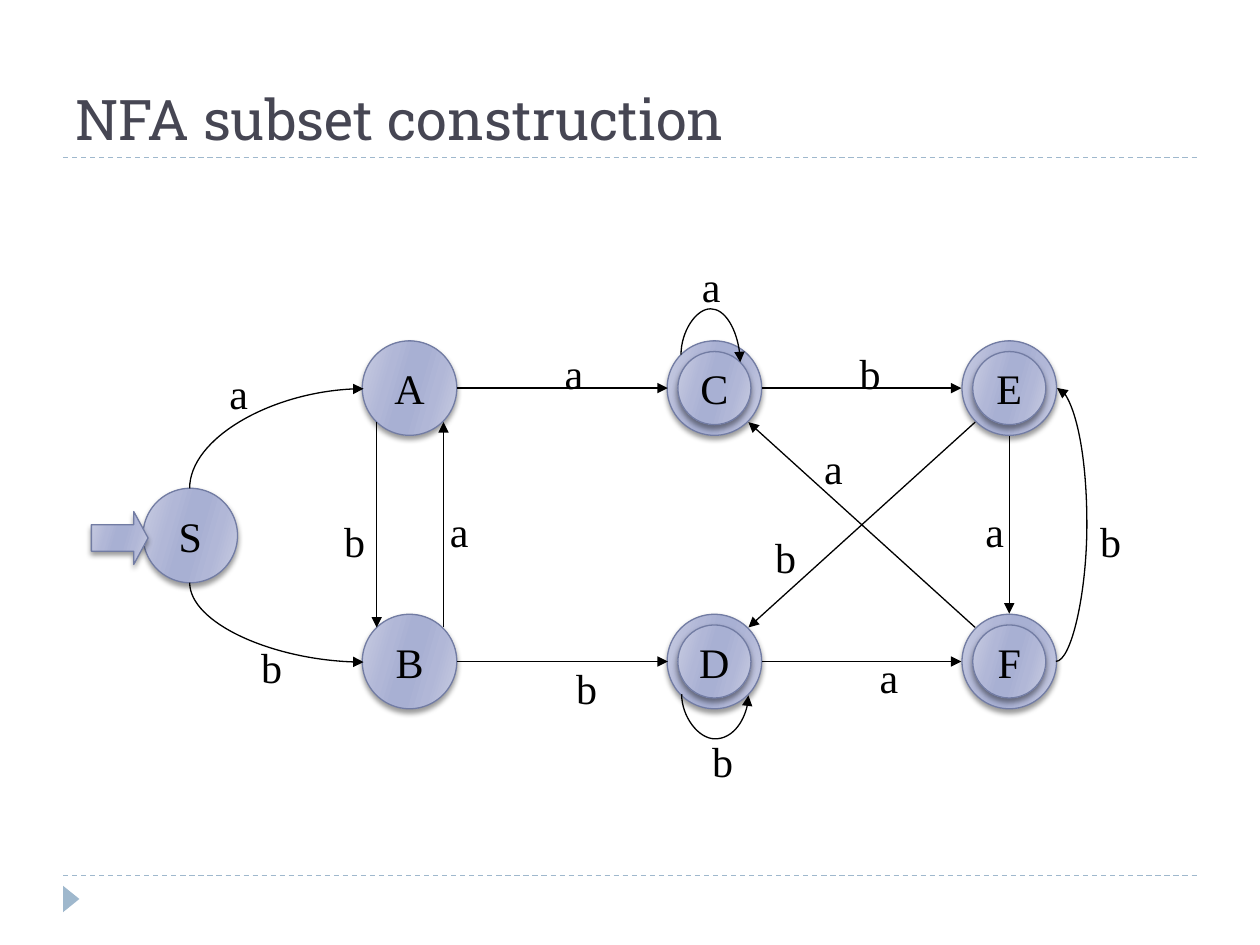
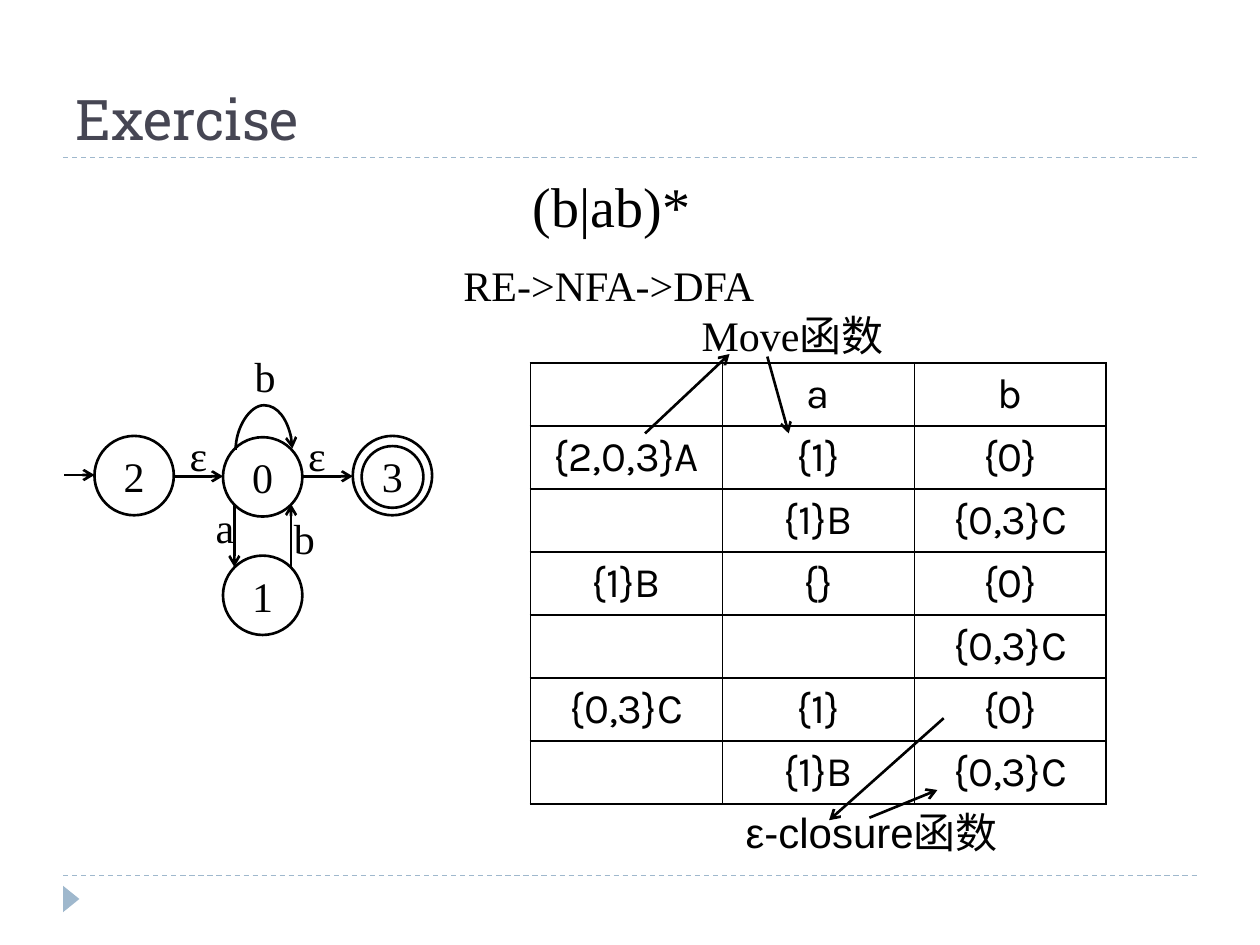
from lxml.etree import SubElement
from pptx import Presentation
from pptx.dml.color import RGBColor
from pptx.enum.dml import MSO_LINE
from pptx.enum.shapes import MSO_CONNECTOR, MSO_SHAPE
from pptx.enum.text import MSO_ANCHOR, PP_ALIGN
from pptx.oxml.ns import qn
from pptx.util import Inches, Pt

BLACK = RGBColor(0, 0, 0)
TITLE = RGBColor(0x46, 0x46, 0x53)
ACCENT = RGBColor(0x9F, 0xB8, 0xCD)
NODE_EDGE = RGBColor(0x72, 0x7C, 0xA3)
NODE_STOPS = [
    (0, RGBColor(0xC9, 0xCD, 0xE2)), (30, RGBColor(0xB1, 0xB7, 0xD7)),
    (45, RGBColor(0xA8, 0xB0, 0xD3)), (55, RGBColor(0xA8, 0xB0, 0xD3)),
    (73, RGBColor(0xB1, 0xB7, 0xD7)), (100, RGBColor(0xC9, 0xCD, 0xE2)),
]
SERIF = "Times New Roman"


def write(frame, text, size=24, font=SERIF, color=BLACK, align=PP_ALIGN.CENTER,
          anchor=MSO_ANCHOR.MIDDLE, wrap=False):
    frame.word_wrap = wrap
    frame.vertical_anchor = anchor
    paragraph = frame.paragraphs[0]
    paragraph.alignment = align
    run = paragraph.add_run()
    run.text = text
    run.font.size = Pt(size)
    run.font.name = font
    run.font.color.rgb = color


def link(slide, x1, y1, x2, y2, width=0.75, head="triangle", color=BLACK,
         kind=MSO_CONNECTOR.STRAIGHT):
    line = slide.shapes.add_connector(kind, Inches(x1), Inches(y1), Inches(x2), Inches(y2))
    line.line.color.rgb = color
    line.line.width = Pt(width)
    if head:
        SubElement(line.line._get_or_add_ln(), qn("a:tailEnd"), type=head)
    SubElement(line._element.spPr, qn("a:effectLst"))
    return line


prs = Presentation()
prs.slide_width = Inches(10)
prs.slide_height = Inches(7.5)
slides = []
for heading in ["NFA subset construction", "Exercise"]:
    slide = prs.slides.add_slide(prs.slide_layouts[6])
    slides.append(slide)
    for y in (6.95, 1.25):
        rule = link(slide, 0.5, y, 9.5, y, head=None, color=ACCENT)
        rule.line.dash_style = MSO_LINE.DASH
    marker = slide.shapes.add_shape(MSO_SHAPE.ISOSCELES_TRIANGLE, Inches(0.46), Inches(7.07),
                                    Inches(0.21), Inches(0.13))
    marker.rotation = 90
    marker.shadow.inherit = False
    marker.fill.solid()
    marker.fill.fore_color.rgb = ACCENT
    marker.line.fill.background()
    title = slide.shapes.add_textbox(Inches(0.5), Inches(0.17), Inches(9), Inches(1.08))
    write(title.text_frame, heading, 32, "Roboto Slab", TITLE, PP_ALIGN.LEFT,
          MSO_ANCHOR.BOTTOM, True)
subset, exercise = slides

TOP, BOTTOM, NODE, INNER = 3.08, 5.25, 0.75, 0.58
states = [("S", 1.51, 4.25, False), ("A", 3.25, TOP, False), ("B", 3.25, BOTTOM, False),
          ("C", 5.67, TOP, True), ("D", 5.67, BOTTOM, True),
          ("E", 8.01, TOP, True), ("F", 8.01, BOTTOM, True)]
outlines = []
for name, x, y, accepting in states:
    outlines.append((MSO_SHAPE.OVAL, x, y, NODE, NODE, "" if accepting else name))
    if accepting:
        outlines.append((MSO_SHAPE.OVAL, x, y, INNER, INNER, name))
outlines.append((MSO_SHAPE.RIGHT_ARROW, 0.95, 4.27, 0.45, 0.42, ""))

for outline, x, y, width, height, name in outlines:
    state = subset.shapes.add_shape(outline, Inches(x - width / 2), Inches(y - height / 2),
                                    Inches(width), Inches(height))
    if outline == MSO_SHAPE.RIGHT_ARROW:
        state.adjustments[1] = 0.27
    state.fill.gradient()
    state.fill.gradient_angle = 344
    stops = state._element.spPr.find(qn("a:gradFill")).find(qn("a:gsLst"))
    for stop in list(stops):
        stops.remove(stop)
    for percent, color in NODE_STOPS:
        stop = SubElement(stops, qn("a:gs"), pos=str(percent * 1000))
        SubElement(stop, qn("a:srgbClr"), val=str(color))
    state.line.color.rgb = NODE_EDGE
    state.line.width = Pt(0.75)
    state.shadow.inherit = False
    effects = state._element.spPr.find(qn("a:effectLst"))
    shadow = SubElement(effects, qn("a:outerShdw"), blurRad=str(Pt(3)), dist=str(Pt(2)),
                        dir="5400000", rotWithShape="0")
    shade = SubElement(shadow, qn("a:srgbClr"), val=str(BLACK))
    SubElement(shade, qn("a:alpha"), val="40000")
    if name:
        write(state.text_frame, name)

for y in (TOP, BOTTOM):
    link(subset, 3.63, y, 5.3, y)
    link(subset, 6.05, y, 7.63, y)
for x1, y1, x2, y2 in [(3.52, 4.98, 3.52, 3.35), (2.99, 3.35, 2.99, 4.98),
                       (8.01, 3.46, 8.01, 4.87),
                       (7.74, 4.98, 5.94, 3.35), (7.74, 3.35, 5.94, 4.98)]:
    link(subset, x1, y1, x2, y2)

subset_labels = [
    ("a", 1.72, 2.87), ("a", 3.47, 3.96), ("a", 4.38, 2.71), ("a", 7.72, 3.96),
    ("a", 6.88, 5.12), ("a", 6.44, 3.46), ("a", 5.47, 2.02),
    ("b", 8.63, 4.04), ("b", 1.97, 5.04), ("b", 2.63, 4.04), ("b", 4.47, 5.21),
    ("b", 6.72, 2.71), ("b", 5.55, 5.79), ("b", 6.05, 4.17),
]
exercise_labels = [("b", 1.92, 2.73), ("a", 1.61, 3.93), ("b", 2.23, 4.02),
                   ("ε", 1.4, 3.36), ("ε", 2.34, 3.36)]
for slide, labels in [(subset, subset_labels), (exercise, exercise_labels)]:
    for symbol, x, y in labels:
        label = slide.shapes.add_textbox(Inches(x), Inches(y),
                                         Inches(0.37 if symbol == "b" else 0.35), Inches(0.5))
        write(label.text_frame, symbol)

for name, x, y, size in [("2", 0.75, 3.46, 0.63), ("0", 1.77, 3.47, 0.63),
                         ("1", 1.77, 4.41, 0.63), ("3", 2.8, 3.46, 0.63),
                         ("", 2.87, 3.54, 0.49)]:
    state = exercise.shapes.add_shape(MSO_SHAPE.OVAL, Inches(x), Inches(y),
                                      Inches(size), Inches(size))
    state.fill.background()
    state.line.color.rgb = BLACK
    state.line.width = Pt(1.5)
    state.shadow.inherit = False
    if name:
        write(state.text_frame, name, wrap=True)

curves = [
    (subset, 1.8, 2.79, 0.79, 1.38, 270, None, None),
    (subset, 1.88, 4.25, 0.63, 1.38, 270, "flipH", None),
    (subset, 8.38, 3.08, 0.01, 2.17, 0, "flipV", 25),
    (subset, 5.61, 2.61, 0.06, 0.47, 90, "flipV", -6.09),
    (subset, 5.67, 5.25, 0.01, 0.53, 270, "flipH", 36),
    (exercise, 2.09, 3.34, 0.01, 0.45, 270, None, 36),
]
for slide, x, y, width, height, angle, flip, bulge in curves:
    weight, head = (0.75, "triangle") if slide is subset else (1.5, "arrow")
    curve = link(slide, x, y, x + width, y + height, weight, head, kind=MSO_CONNECTOR.CURVE)
    frame = curve._element.spPr.find(qn("a:xfrm"))
    frame.set("rot", str(angle * 60000))
    if flip:
        frame.set(flip, "1")
    geometry = curve._element.spPr.find(qn("a:prstGeom"))
    if bulge is None:
        geometry.set("prst", "curvedConnector2")
    else:
        SubElement(geometry.find(qn("a:avLst")), qn("a:gd"), name="adj1",
                   fmla=f"val {round(bulge * 100000)}")

rows = [
    ["", "a", "b"],
    ["{2,0,3}A", "{1}", "{0}"],
    ["", "{1}B", "{0,3}C"],
    ["{1}B", "{}", "{0}"],
    ["", "", "{0,3}C"],
    ["{0,3}C", "{1}", "{0}"],
    ["", "{1}B", "{0,3}C"],
]
moves = exercise.shapes.add_table(len(rows), 3, Inches(4.21), Inches(2.88),
                                  Inches(4.57), Inches(3.5)).table
moves.first_row = False
moves.horz_banding = False
for r, row in enumerate(rows):
    moves.rows[r].height = Inches(0.5)
    for c, text in enumerate(row):
        cell = moves.cell(r, c)
        if text:
            write(cell.text_frame, text, font="Karla", wrap=True)
        cell.vertical_anchor = MSO_ANCHOR.MIDDLE
        for side in ("lnL", "lnR", "lnT", "lnB"):
            border = SubElement(cell._tc.get_or_add_tcPr(), qn(f"a:{side}"), w=str(Pt(1)))
            SubElement(SubElement(border, qn("a:solidFill")), qn("a:srgbClr"), val=str(BLACK))
        cell.fill.background()

for text, x, y, width, height, size, font in [
    ("(b|ab)*", 4.13, 1.31, 1.45, 0.64, 32, SERIF),
    ("RE->NFA->DFA", 3.58, 2.01, 2.51, 0.5, 24, SERIF),
    ("Move函数", 5.47, 2.41, 2.32, 0.5, 24, SERIF),
    ("ε-closure函数", 5.82, 6.35, 2.37, 0.5, 24, "Arial"),
]:
    caption = exercise.shapes.add_textbox(Inches(x), Inches(y), Inches(width), Inches(height))
    write(caption.text_frame, text, size, font, align=PP_ALIGN.LEFT, anchor=MSO_ANCHOR.TOP,
          wrap=text.endswith("函数"))

for x1, y1, x2, y2 in [
    (0.51, 3.77, 0.75, 3.77), (1.38, 3.78, 1.77, 3.78), (2.4, 3.78, 2.8, 3.78),
    (1.86, 4, 1.86, 4.5), (2.31, 4.5, 2.31, 4),
    (5.12, 3.44, 5.79, 2.81), (6.09, 2.83, 6.26, 3.44),
    (7.49, 5.7, 6.58, 6.51), (6.9, 6.49, 7.44, 6.27),
]:
    link(exercise, x1, y1, x2, y2, 1.5, "arrow")

prs.save("out.pptx")
